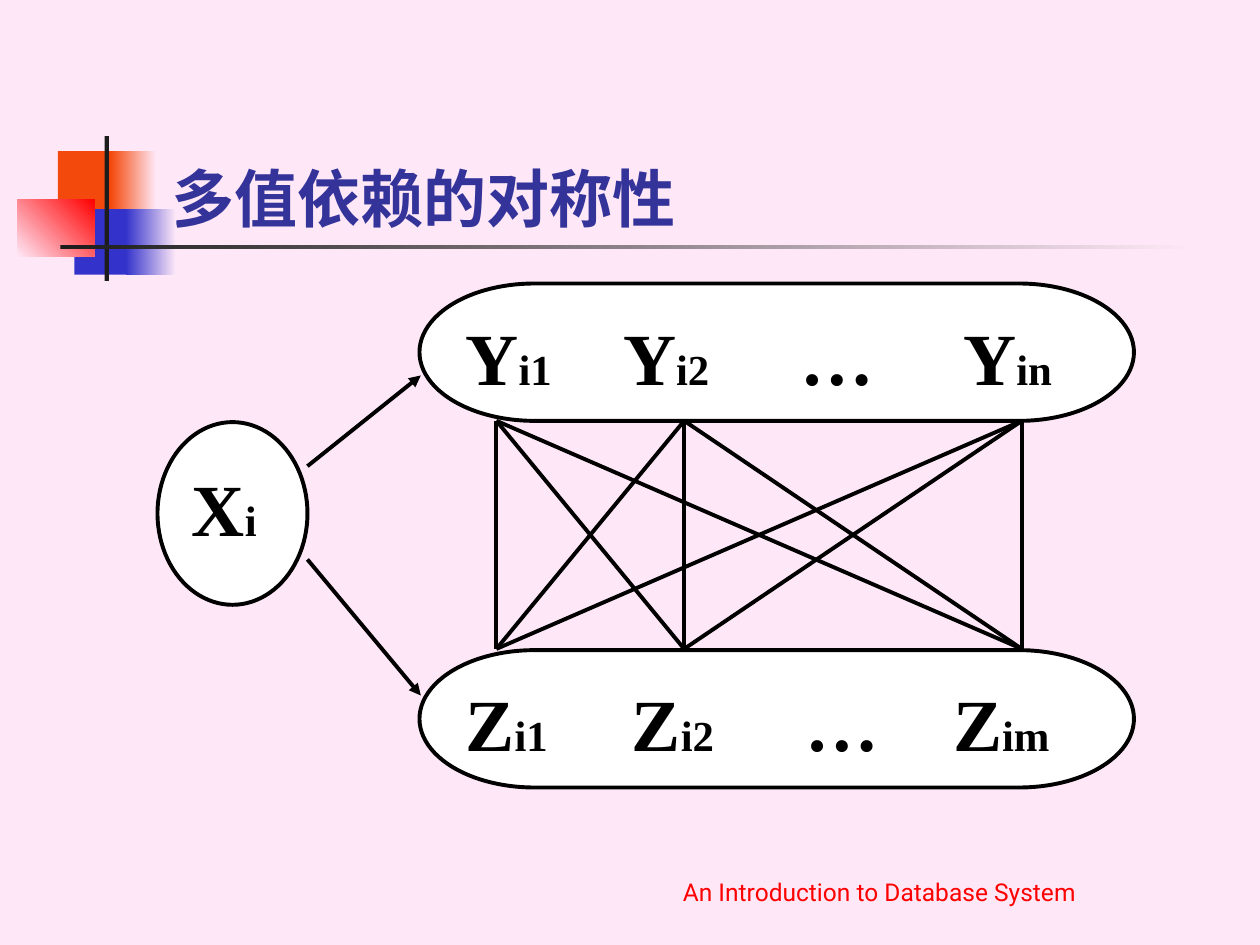
from itertools import product

from lxml.etree import SubElement
from pptx import Presentation
from pptx.dml.color import RGBColor
from pptx.enum.shapes import MSO_CONNECTOR, MSO_SHAPE as Shape
from pptx.enum.text import MSO_ANCHOR as Anchor, MSO_AUTO_SIZE, PP_ALIGN as Align
from pptx.oxml.ns import qn
from pptx.util import Inches, Pt

# The slide is a grid of 100 columns by 75 rows
CELL = Inches(10) // 100
BACKGROUND, BLACK, WHITE = "FEE8F7", "000000", "FFFFFF"
ORANGE, BLUE, RED, DARK = "F4490C", "3333CC", "FF0000", "1C1C1C"
SANS, SERIF = "Roboto", "Times New Roman"


def grid(*cells):
    return [round(c * CELL) for c in cells]


def rgb(hex_colour):
    return RGBColor.from_string(hex_colour)


def add_run(paragraph, text, size, font, colour, bold=False, baseline=None):
    run = paragraph.add_run()
    run.text = text
    run.font.size, run.font.name, run.font.bold = Pt(size), font, bold
    run.font.color.rgb = rgb(colour)
    if baseline:
        run.font._element.set("baseline", str(baseline))


def add_block(slide, place, colours, angle=0):
    """Borderless decoration in one colour, or fading between two."""
    block = slide.shapes.add_shape(Shape.RECTANGLE, *grid(*place))
    block.shadow.inherit = False
    block.line.fill.background()
    if len(colours) == 1:
        block.fill.solid()
        block.fill.fore_color.rgb = rgb(colours[0])
        return
    block.fill.gradient()
    block.fill.gradient_angle = angle
    for stop, colour in zip(block.fill.gradient_stops, colours):
        stop.color.rgb = rgb(colour)


def add_value_set(slide, kind, place, values, top_margin, stops=()):
    """Outlined set whose values, (letter, index), stand at tab stops."""
    outline = slide.shapes.add_shape(kind, *grid(*place))
    outline.shadow.inherit = False
    outline.fill.solid()
    outline.fill.fore_color.rgb = rgb(WHITE)
    outline.line.color.rgb = rgb(BLACK)
    outline.line.width = Pt(2.25)

    frame = outline.text_frame
    frame.word_wrap = True
    frame.vertical_anchor = Anchor.TOP
    frame.margin_top = grid(top_margin)[0]
    paragraph = frame.paragraphs[0]
    paragraph.alignment = Align.LEFT
    if stops:
        tabs = SubElement(paragraph._p.get_or_add_pPr(), qn("a:tabLst"))
        for stop in grid(*stops):
            SubElement(tabs, qn("a:tab"), pos=str(stop), algn="l")
    for number, (letter, index) in enumerate(values):
        gap = "\t" if number else ""
        add_run(paragraph, gap + letter, 42, SERIF, BLACK, True)
        if index:
            add_run(paragraph, index, 42, SERIF, BLACK, True, -25)


def add_line(slide, start, end, arrow=False):
    line = slide.shapes.add_connector(
        MSO_CONNECTOR.STRAIGHT, *grid(*start), *grid(*end))
    line.line.color.rgb = rgb(BLACK)
    line.line.width = Pt(2.25)
    if arrow:
        SubElement(line.line._get_or_add_ln(), qn("a:tailEnd"), type="triangle")
    SubElement(line._element.spPr, qn("a:effectLst"))


def add_decoration(slide):
    add_block(slide, (4.6, 12, 4.8, 5.2), [ORANGE])
    add_block(slide, (8.8, 12, 3.6, 5.2), [ORANGE, BACKGROUND])
    add_block(slide, (5.9, 16.6, 4.6, 5.2), [BLUE])
    add_block(slide, (10, 16.6, 4, 5.2), [BLUE, BACKGROUND])
    add_block(slide, (1.4, 15.8, 6.1, 4.6), [BACKGROUND, RED], 45)
    add_block(slide, (8.3, 10.8, 0.35, 11.5), [DARK])
    add_block(slide, (4.8, 19.45, 90, 0.35), [DARK, BACKGROUND])


def set_title(slide, text):
    title = slide.shapes.title
    title.left, title.top, title.width, title.height = grid(12.6, 6.7, 85.2, 12.5)
    frame = title.text_frame
    frame.auto_size = MSO_AUTO_SIZE.NONE
    frame.vertical_anchor = Anchor.BOTTOM
    frame.paragraphs[0].alignment = Align.LEFT
    add_run(frame.paragraphs[0], text, 36, SANS, "333399", True)


def add_footer(slide, text):
    frame = slide.shapes.add_textbox(*grid(43.7, 67.4, 52.2, 5)).text_frame
    frame.word_wrap = True
    frame.vertical_anchor = Anchor.BOTTOM
    frame.paragraphs[0].alignment = Align.CENTER
    add_run(frame.paragraphs[0], text, 14, SANS, RED)


def main():
    deck = Presentation()
    deck.slide_width, deck.slide_height = grid(100, 75)
    slide = deck.slides.add_slide(deck.slide_layouts[5])
    slide.background.fill.solid()
    slide.background.fill.fore_color.rgb = rgb(BACKGROUND)

    add_decoration(slide)
    add_footer(slide, "An Introduction to Database System")
    set_title(slide, "多值依赖的对称性")

    # X value and the two sets that depend on it
    add_value_set(slide, Shape.OVAL, (12.5, 33.5, 11.9, 14.5), [("X", "i")], 1.15)
    z_values = [("Z", "i1"), ("Z", "i2"), ("…", ""), ("Z", "im")]
    y_values = [("Y", "i1"), ("Y", "i2"), ("…", ""), ("Y", "in")]
    for top, values, stops in ((51.6, z_values, (13.2, 27, 38.7)),
                               (22.5, y_values, (12.5, 26.6, 39.5))):
        add_value_set(slide, Shape.FLOWCHART_TERMINATOR,
                      (33.3, top, 56.7, 10.9), values, 0.65, stops)
    add_line(slide, (24.4, 37), (33.4, 29.8), arrow=True)
    add_line(slide, (24.4, 44.4), (33.4, 55.2), arrow=True)

    # Every Y value pairs with every Z value
    columns = (39.4, 54.3, 81.1)
    for y_column, z_column in product(columns, repeat=2):
        add_line(slide, (y_column, 33.4), (z_column, 51.5))

    deck.save("out.pptx")


if __name__ == "__main__":
    main()
